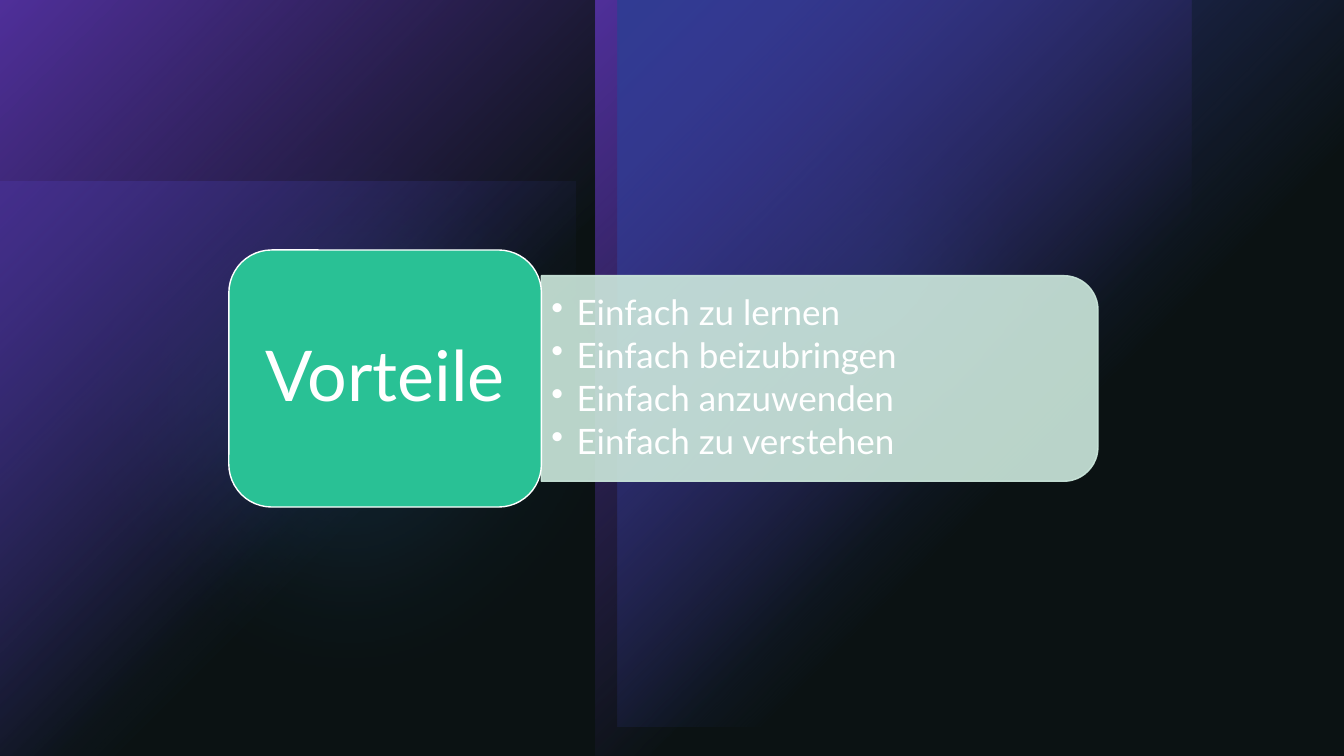
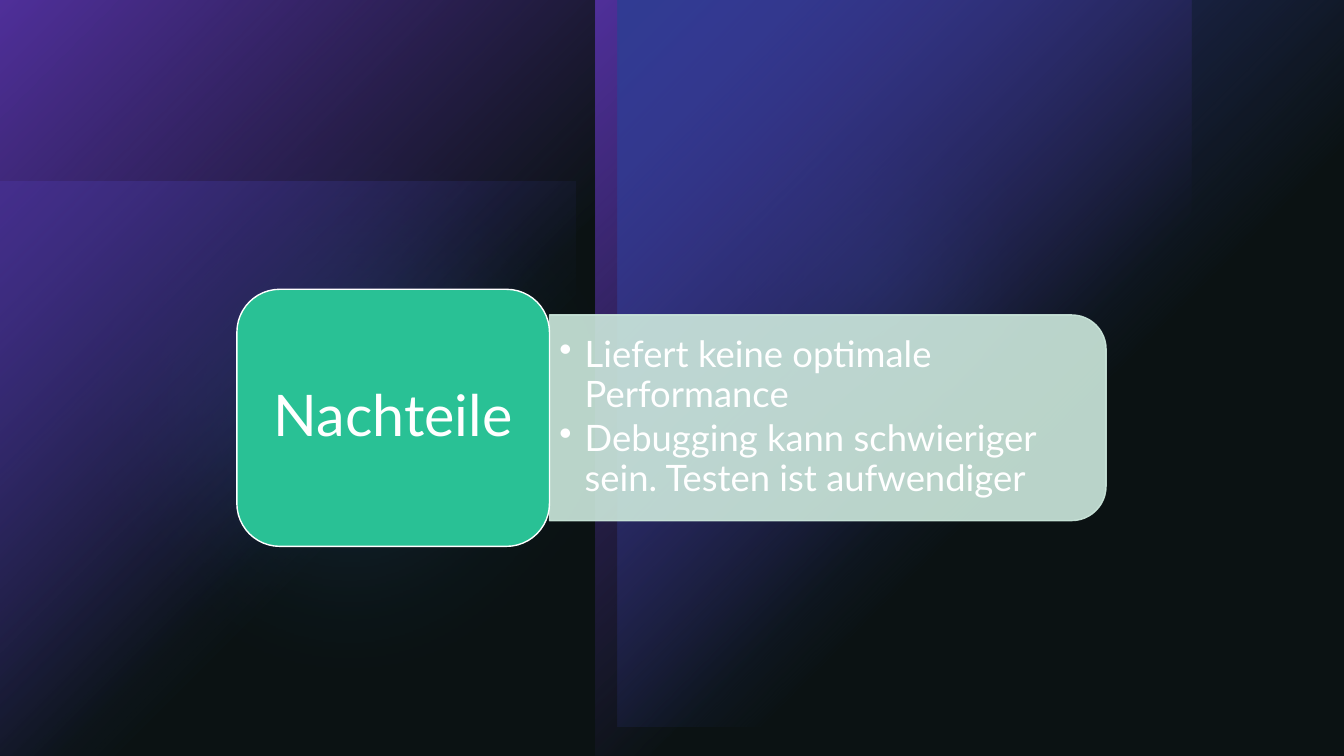
from dataclasses import dataclass

from lxml import etree
from pptx import Presentation
from pptx.dml.color import RGBColor
from pptx.enum.shapes import MSO_SHAPE as Shape
from pptx.enum.text import MSO_ANCHOR as Anchor, PP_ALIGN as Align
from pptx.oxml.ns import qn
from pptx.util import Inches, Pt


@dataclass(frozen=True)
class Theme:
    font: str = "Lato"
    white: str = "FFFFFF"
    black: str = "000000"
    green: str = "29C195"
    mint: str = "CDE9DD"
    purple: str = "7230E0"
    indigo: str = "3F45D5"
    blue: str = "3081E0"
    veil: str = "1C2F31"
    line: float = 1
    blur: float = 100
    indent: float = 0.25
    spacing: float = 0.9
    gap: float = 0.15  # space between bullets, as a share of the type size


T = Theme()
WIDTH, HEIGHT = 13.33, 7.5


def set_alpha(color_el, percent):
    etree.SubElement(color_el, qn("a:alpha"), val=str(percent * 1000))


def add_shape(slide, kind, box, color, alpha=100, line=None):
    s = slide.shapes.add_shape(kind, *map(Inches, box))
    s.shadow.inherit = False
    s.fill.solid()
    s.fill.fore_color.rgb = RGBColor.from_string(color)
    if line:
        s.line.color.rgb = RGBColor.from_string(line)
        s.line.width = Pt(T.line)
    else:
        s.line.fill.background()
    if alpha < 100:
        for color_el in s.element.spPr.iter(qn("a:srgbClr")):
            set_alpha(color_el, alpha)
    return s


def add_text(s, lines, size, align=Align.LEFT, bullet=None, inset=(0.1, 0.05)):
    tf = s.text_frame
    tf.word_wrap = True
    tf.vertical_anchor = Anchor.MIDDLE
    tf.margin_left = tf.margin_right = Inches(inset[0])
    tf.margin_top = tf.margin_bottom = Inches(inset[1])
    for i, line in enumerate(lines):
        p = tf.paragraphs[0] if i == 0 else tf.add_paragraph()
        p.alignment = align
        p.line_spacing = T.spacing
        if i:
            p.space_before = Pt(size * T.gap)
        if bullet:
            pPr = p._p.get_or_add_pPr()
            pPr.set("marL", str(Inches(T.indent)))
            pPr.set("indent", str(-Inches(T.indent)))
            etree.SubElement(pPr, qn("a:buChar"), char=bullet)
        r = p.add_run()
        r.text = line
        r.font.name = T.font
        r.font.size = Pt(size)
        r.font.color.rgb = RGBColor.from_string(T.white)


def add_glow(slide, box, color, alpha=100):
    """Rectangle that fades out from its top left corner."""
    s = add_shape(slide, Shape.RECTANGLE, box, color)
    s.fill.gradient()
    for stop, position in zip(s.fill.gradient_stops, (0, 0.6)):
        stop.color.rgb = RGBColor.from_string(color)
        stop.position = position
    grad = s.element.spPr.find(qn("a:gradFill"))
    for color_el, percent in zip(grad.iter(qn("a:srgbClr")), (alpha, 0)):
        set_alpha(color_el, percent)
    circle = etree.Element(qn("a:path"), path="circle")
    etree.SubElement(circle, qn("a:fillToRect"), r="100000", b="100000")
    grad.replace(grad.find(qn("a:lin")), circle)


def add_haze(slide, box, alpha):
    """Blue disc with a soft edge."""
    s = add_shape(slide, Shape.OVAL, box, T.blue, alpha)
    effects = s.element.spPr.find(qn("a:effectLst"))
    etree.SubElement(effects, qn("a:softEdge"), rad=str(Pt(T.blur)))


def add_backdrop(slide):
    add_glow(slide, (0, 1.8, 5.71, 5.71), T.indigo, alpha=60)
    add_haze(slide, (6.29, 0.43, 4.72, 4.72), alpha=60)
    add_haze(slide, (0, 0.56, 6.94, 6.94), alpha=20)
    for column in range(2):
        add_glow(slide, (column * 5.91, 0, 5.91, HEIGHT), T.purple)
    add_glow(slide, (6.13, 0, 7.21, 7.21), T.indigo)
    add_shape(slide, Shape.RECTANGLE, (0, 0, WIDTH, HEIGHT), T.veil, alpha=40)


def share_backdrop(slide):
    """Draw the backdrop and move it to the layout that all slides use."""
    layout = slide.slide_layout
    for ph in list(layout.placeholders):
        ph.element.getparent().remove(ph.element)
    layout.background.fill.solid()
    layout.background.fill.fore_color.rgb = RGBColor.from_string(T.black)
    add_backdrop(slide)
    for s in list(slide.shapes):
        layout.shapes.element.append(s.element)


def add_card(slide, left, top, title, title_size, points, point_size):
    title_w, title_h, bar_w, bar_h = 3.1, 2.55, 5.52, 2.04
    bar_left, middle = left + title_w, top + title_h / 2

    # Bar: an upright shape turned so that its round end points right
    upright = (bar_left + (bar_w - bar_h) / 2, middle - bar_w / 2, bar_h, bar_w)
    bar = add_shape(slide, Shape.ROUND_2_SAME_RECTANGLE, upright, T.mint,
                    alpha=90, line=T.mint)
    bar.rotation = 90

    # Bullet points
    text_box = (bar_left, middle - 0.92, bar_w - 0.1, 1.84)
    tb = slide.shapes.add_textbox(*map(Inches, text_box))
    add_text(tb, points, point_size, bullet="•")

    # Title block
    block = add_shape(slide, Shape.ROUNDED_RECTANGLE,
                      (left, top, title_w, title_h), T.green, line=T.white)
    add_text(block, [title], title_size, align=Align.CENTER, inset=(0.2, 0.1))


CARDS = [
    dict(left=2.27, top=2.48, title="Vorteile", title_size=50, point_size=25,
         points=["Einfach zu lernen", "Einfach beizubringen",
                 "Einfach anzuwenden", "Einfach zu verstehen"]),
    dict(left=2.35, top=2.87, title="Nachteile", title_size=41, point_size=26,
         points=["Liefert keine optimale Performance",
                 "Debugging kann schwieriger sein. Testen ist aufwendiger"]),
]


def main():
    prs = Presentation()
    prs.slide_width, prs.slide_height = Inches(WIDTH), Inches(HEIGHT)
    blank = prs.slide_layouts[6]
    slides = [prs.slides.add_slide(blank) for _ in CARDS]
    share_backdrop(slides[0])
    for slide, card in zip(slides, CARDS):
        add_card(slide, **card)
    prs.save("out.pptx")


if __name__ == "__main__":
    main()
